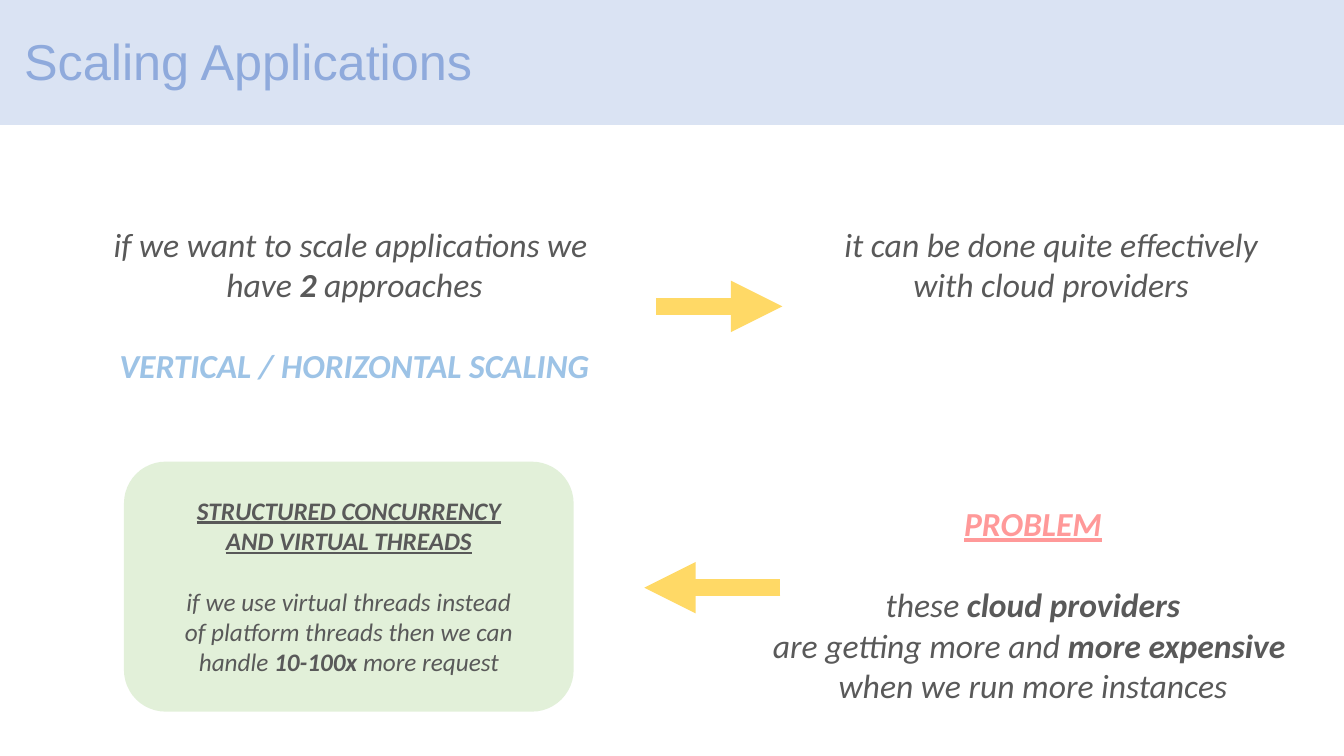
from lxml import etree
from pptx import Presentation
from pptx.dml.color import RGBColor
from pptx.enum.shapes import MSO_CONNECTOR, MSO_SHAPE
from pptx.enum.text import MSO_ANCHOR, MSO_AUTO_SIZE, PP_ALIGN
from pptx.oxml.ns import qn
from pptx.util import Inches, Pt

RECT, ROUNDED = MSO_SHAPE.RECTANGLE, MSO_SHAPE.ROUNDED_RECTANGLE
STRAIGHT = MSO_CONNECTOR.STRAIGHT
LEFT, CENTER = PP_ALIGN.LEFT, PP_ALIGN.CENTER
MIDDLE, TOP = MSO_ANCHOR.MIDDLE, MSO_ANCHOR.TOP
FIT_SHAPE, FIT_NONE = MSO_AUTO_SIZE.SHAPE_TO_FIT_TEXT, MSO_AUTO_SIZE.NONE

COLORS = {
    "band": "DAE3F3", "title": "8FAADC", "white": "FFFFFF", "text": "595959",
    "scaling": "9DC3E6", "arrow": "FFD966", "problem": "FF9999", "card": "E2F0D9",
}

# Content: each line is a list of (text, style, colour); style letters are
# b = bold, i = italic, u = underline. GAP opens one empty line's worth of space.
GAP = None
TITLE = [[("Scaling Applications", "", "title")]]
APPROACHES = [
    [("if we want to scale applications we ", "i", "text")],
    [("have ", "i", "text"), ("2", "bi", "text"), (" approaches", "i", "text")],
    GAP,
    [("VERTICAL / HORIZONTAL SCALING", "bi", "scaling")],
]
CLOUD = [
    [("it can be done quite effectively", "i", "text")],
    [("with cloud providers", "i", "text")],
]
PROBLEM = [
    [("PROBLEM", "biu", "problem")],
    GAP,
    [("these ", "i", "text"), ("cloud providers", "bi", "text")],
    [("are getting more and ", "i", "text"), ("more expensive ", "bi", "text")],
    [("when we run more instances", "i", "text")],
]
THREADS = [
    [("STRUCTURED CONCURRENCY", "biu", "text")],
    [("AND VIRTUAL THREADS", "biu", "text")],
    GAP,
    [("if we use virtual threads instead", "i", "text")],
    [("of platform threads then we can", "i", "text")],
    [("handle ", "i", "text"), ("10-100x", "bi", "text"), (" more request", "i", "text")],
]

# Layout in inches
WIDTH, HEIGHT = 13.33, 7.5
BAND = (-0.14, -0.04, 13.57, 1.29)
TITLE_BOX = (0.14, -0.09, 12.63, 1.45)
CARD = (1.23, 4.58, 4.46, 2.48)
CARD_PAD = 0.42, 0.28
CARD_TEXT = (CARD[0] + CARD_PAD[0], CARD[1] + CARD_PAD[1],
             CARD[2] - 2 * CARD_PAD[0], CARD[3] - 2 * CARD_PAD[1])
ROW_TOP = 2.17
BODY_BOXES = [  # lines, place, point size
    (APPROACHES, (1, ROW_TOP, 5.03, 1.72), 24),
    (CLOUD, (8.24, ROW_TOP, 4.37, 0.91), 24),
    (PROBLEM, (7.49, 4.94, 5.51, 2.12), 24),
    (THREADS, CARD_TEXT, 18),
]
ARROWS = [(6.51, 7.76, 3.04), (7.74, 6.39, 5.83)]  # from x, to x, y
LINE_HEIGHT = 1.22


def color(name):
    return RGBColor.from_string(COLORS[name])


def add_panel(page, kind, place, fill, outline=None):
    panel = page.shapes.add_shape(kind, *map(Inches, place))
    panel.shadow.inherit = False
    panel.fill.solid()
    panel.fill.fore_color.rgb = color(fill)
    if outline:
        panel.line.color.rgb = color(outline)
        panel.line.width = Pt(1)
    else:
        panel.line.fill.background()


def add_text(page, lines, place, size, font="Calibri", align=CENTER,
             anchor=TOP, wrap=False, spacing=None):
    box = page.shapes.add_textbox(*map(Inches, place))
    frame = box.text_frame
    frame.word_wrap = wrap
    frame.auto_size = FIT_NONE if wrap else FIT_SHAPE
    frame.vertical_anchor = anchor
    para, after_gap = None, False
    for line in lines:
        if line is GAP:
            after_gap = True
            continue
        para = frame.add_paragraph() if para else frame.paragraphs[0]
        para.alignment = align
        if spacing:
            para.line_spacing = spacing
        if after_gap:
            para.space_before = Pt(round(size * LINE_HEIGHT, 1))
            after_gap = False
        for text, style, tint in line:
            span = para.add_run()
            span.text = text
            span.font.name, span.font.size = font, Pt(size)
            span.font.color.rgb = color(tint)
            span.font.bold = "b" in style
            span.font.italic = "i" in style
            span.font.underline = "u" in style


def add_arrow(page, start, end, y):
    arrow = page.shapes.add_connector(
        STRAIGHT, Inches(start), Inches(y), Inches(end), Inches(y))
    arrow.line.color.rgb = color("arrow")
    arrow.line.width = Pt(12.25)
    etree.SubElement(arrow.line._get_or_add_ln(), qn("a:tailEnd"), type="triangle")
    etree.SubElement(arrow._element.spPr, qn("a:effectLst"))


def main():
    deck = Presentation()
    deck.slide_width, deck.slide_height = Inches(WIDTH), Inches(HEIGHT)
    page = deck.slides.add_slide(deck.slide_layouts[6])

    # Title band
    add_panel(page, RECT, BAND, "band", "white")
    add_text(page, TITLE, TITLE_BOX, 36, "Arial", LEFT, MIDDLE, True, 0.9)

    # Steps of the argument and the arrows between them
    add_panel(page, ROUNDED, CARD, "card")
    for lines, place, size in BODY_BOXES:
        add_text(page, lines, place, size)
    for arrow in ARROWS:
        add_arrow(page, *arrow)

    deck.save("out.pptx")


if __name__ == "__main__":
    main()
